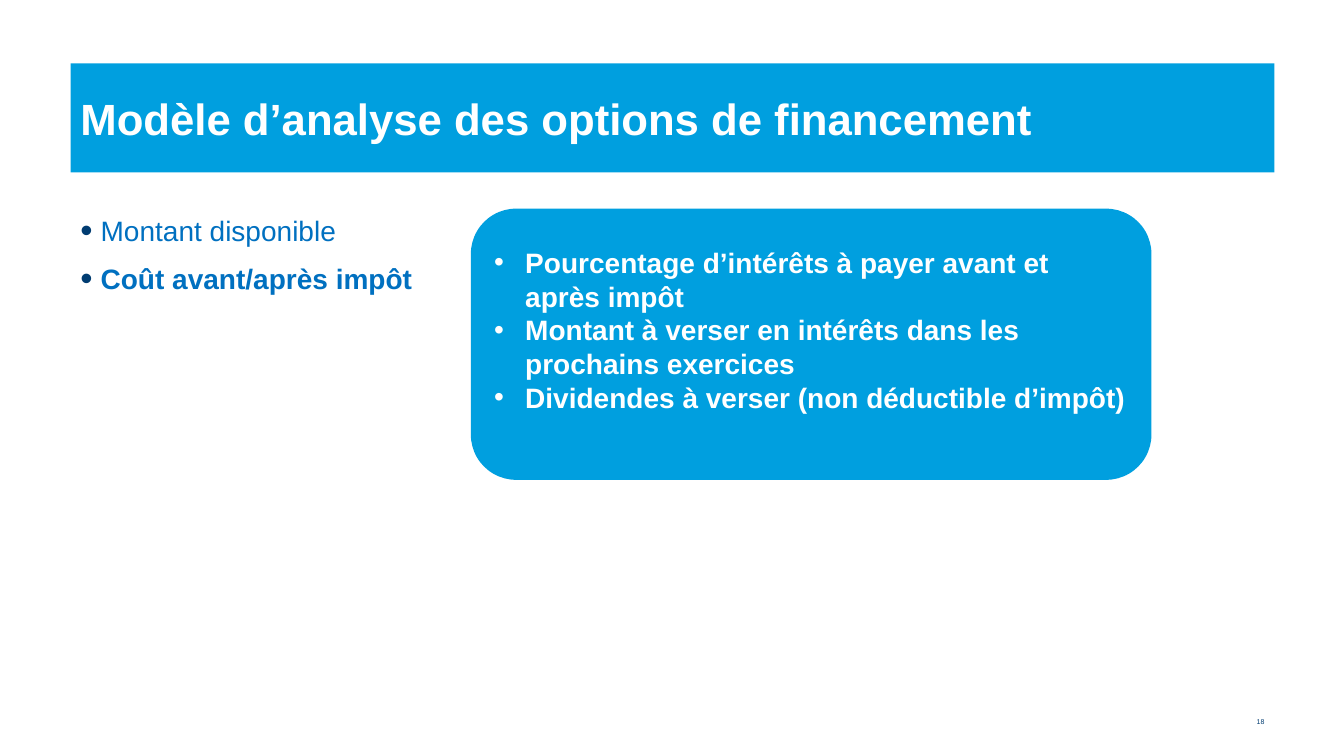
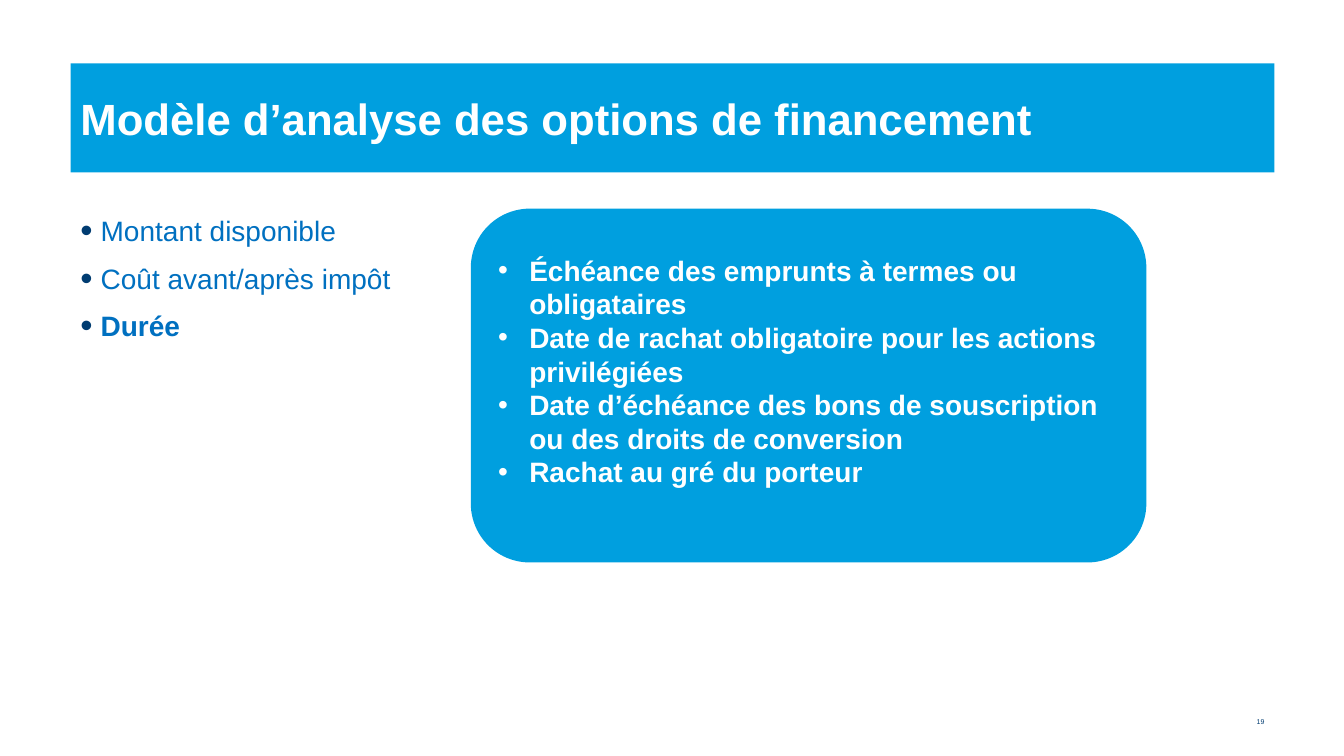
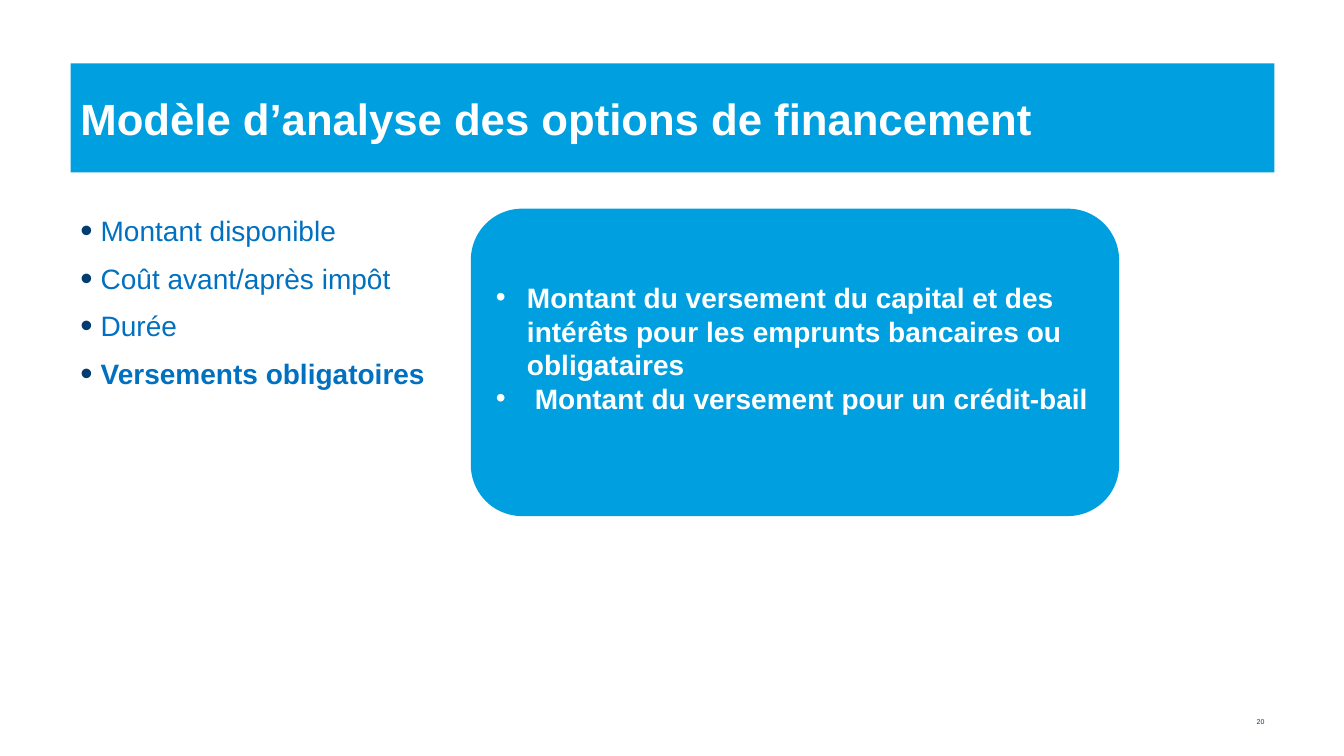
from pptx import Presentation
from pptx.dml.color import RGBColor
from pptx.enum.shapes import MSO_SHAPE as SHAPE
from pptx.enum.text import MSO_ANCHOR as ANCHOR, PP_ALIGN as ALIGN
from pptx.oxml.ns import qn
from pptx.util import Pt
from lxml.etree import SubElement

CYAN = RGBColor(0x00, 0x9F, 0xDF)
NAVY = RGBColor(0x00, 0x3C, 0x71)
BLUE = RGBColor(0x00, 0x70, 0xC0)
WHITE = RGBColor(0xFF, 0xFF, 0xFF)
FONT = "Arial"
PX = 9144

TITLE = "Modèle d’analyse des options de financement"
TOPICS = ["Montant disponible", "Coût avant/après impôt", "Durée",
          "Versements obligatoires"]
FIRST = 18
CARDS = [
    (675, 269, ["Pourcentage d’intérêts à payer avant et après impôt",
                "Montant à verser en intérêts dans les prochains exercices",
                "Dividendes à verser (non déductible d’impôt)"]),
    (670, 351, ["Échéance des emprunts à termes ou obligataires",
                "Date de rachat obligatoire pour les actions privilégiées",
                "Date d’échéance des bons de souscription ou des droits de conversion",
                "Rachat au gré du porteur"]),
    (643, 305, ["Montant du versement du capital et des intérêts pour les "
                "emprunts bancaires ou obligataires",
                " Montant du versement pour un crédit-bail"]),
]

LEFT, WIDE, TOP = 70, 1194, 207
CARD_X = 467
CARD_FOOT = 34


def add_box(slide, x, y, w, h, kind=None, anchor=ANCHOR.MIDDLE):
    area = [v * PX for v in (x, y, w, h)]
    if kind is None:
        box = slide.shapes.add_textbox(*area)
    else:
        box = slide.shapes.add_shape(kind, *area)
        box.shadow.inherit = False
        box.fill.solid()
        box.fill.fore_color.rgb = CYAN
        box.line.fill.background()
    frame = box.text_frame
    frame.word_wrap = True
    frame.vertical_anchor = anchor
    return frame


def add_bullet(par, indent, color=None, size=None):
    props = par._p.get_or_add_pPr()
    props.set("marL", str(indent * PX))
    props.set("indent", str(-indent * PX))
    if color is not None:
        tint = SubElement(props, qn("a:buClr"))
        SubElement(tint, qn("a:srgbClr"), val=str(color))
    if size is not None:
        SubElement(props, qn("a:buSzPct"), val=str(size * 1000))
    SubElement(props, qn("a:buFont"), typeface=FONT)
    SubElement(props, qn("a:buChar"), char="•")


def write(frame, lines, size, color, bold=False, align=ALIGN.LEFT,
          gap=0, bullet=None):
    for i, line in enumerate(lines):
        par = frame.add_paragraph() if i else frame.paragraphs[0]
        par.text = line
        par.alignment = align
        if bullet:
            add_bullet(par, *bullet)
        if i and gap:
            par.space_before = Pt(gap)
        font = par.font
        font.name, font.size, font.bold = FONT, Pt(size), bold
        font.color.rgb = color


def add_base(slide, number):
    write(add_box(slide, LEFT, 63, WIDE, 108, SHAPE.RECTANGLE),
          [TITLE], 31.2, WHITE, bold=True)
    frame = add_box(slide, 1196, 707, 68, 18)
    frame.margin_top = frame.margin_bottom = 0
    write(frame, [str(number)], 5, NAVY, align=ALIGN.RIGHT)


def add_topics(slide, topics):
    frame = add_box(slide, LEFT, TOP, WIDE, 418, anchor=ANCHOR.TOP)
    write(frame, topics, 20, BLUE, gap=10, bullet=(20, NAVY, 125))
    frame.paragraphs[-1].font.bold = True


def add_card(slide, w, h, points):
    frame = add_box(slide, CARD_X, TOP, w, h, SHAPE.ROUNDED_RECTANGLE)
    frame.margin_bottom = CARD_FOOT * PX
    write(frame, points, 20, WHITE, bold=True, bullet=(31,))


def main():
    deck = Presentation()
    deck.slide_width, deck.slide_height = 1333 * PX, 750 * PX
    for i, card in enumerate(CARDS):
        slide = deck.slides.add_slide(deck.slide_layouts[6])
        add_base(slide, FIRST + i)
        add_topics(slide, TOPICS[:i + 2])
        add_card(slide, *card)
    deck.save("out.pptx")


if __name__ == "__main__":
    main()
